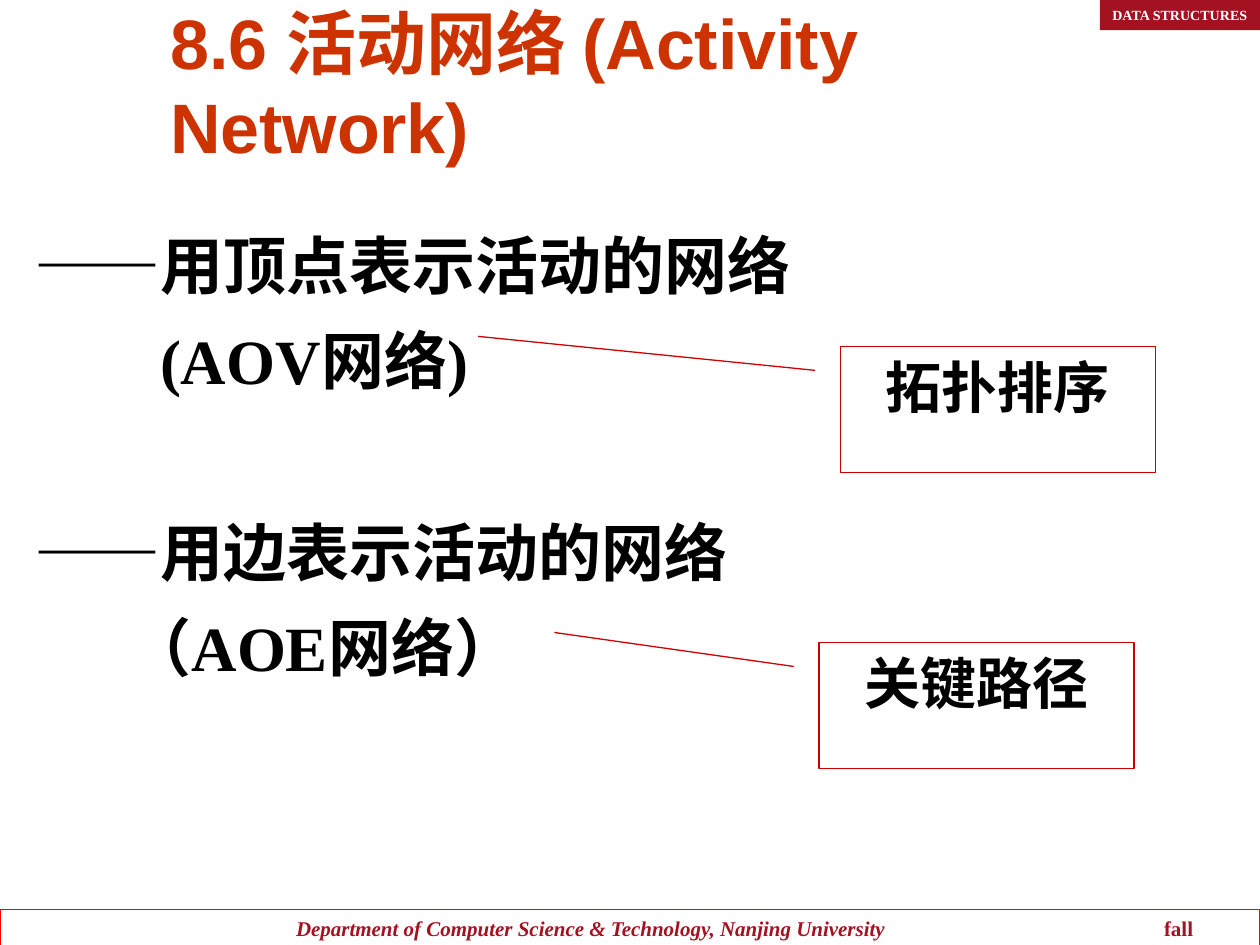
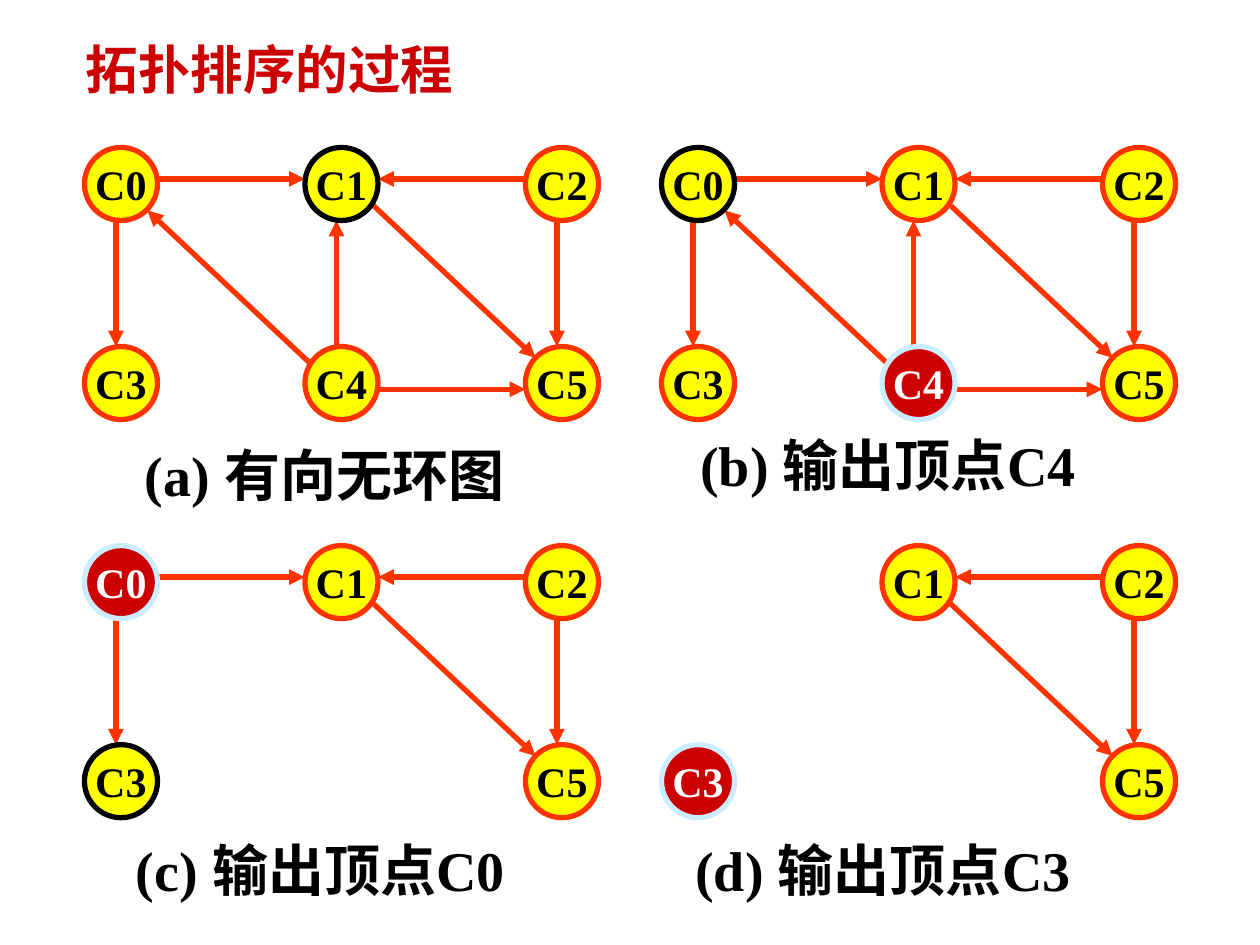
from lxml import etree
from pptx import Presentation
from pptx import util as u
from pptx.dml.color import RGBColor
from pptx.enum import shapes, text
from pptx.oxml.ns import qn

BLACK = RGBColor(0x00, 0x00, 0x00)
WHITE = RGBColor(0xFF, 0xFF, 0xFF)
CRIMSON = RGBColor(0xA3, 0x12, 0x21)
FRAME_RED = RGBColor(0xFF, 0x00, 0x00)
TITLE_ORANGE = RGBColor(0xCC, 0x33, 0x00)
RED = RGBColor(0xCC, 0x00, 0x00)
EDGE_ORANGE = RGBColor(0xFF, 0x33, 0x00)
YELLOW = RGBColor(0xFF, 0xFF, 0x00)
PALE_BLUE = RGBColor(0xCC, 0xEC, 0xFF)

SERIF = "Times New Roman"
LEFT, CENTER = text.PP_ALIGN.LEFT, text.PP_ALIGN.CENTER
TOP, MIDDLE = text.MSO_ANCHOR.TOP, text.MSO_ANCHOR.MIDDLE

NODE_SIZE = 0.58
COLUMN_STEP, ROW_STEP = 1.75, 1.58
# Column and row of every vertex in a graph
VERTICES = {"C0": (0, 0), "C1": (1, 0), "C2": (2, 0),
            "C3": (0, 1), "C4": (1, 1), "C5": (2, 1)}
# Start and end points of each arrow, measured from the graph's top left corner
EDGES = {
    ("C0", "C1"): ((0.58, 0.25), (1.75, 0.25)),
    ("C2", "C1"): ((3.5, 0.25), (2.33, 0.25)),
    ("C0", "C3"): ((0.25, 0.58), (0.25, 1.58)),
    ("C4", "C1"): ((2, 1.58), (2, 0.58)),
    ("C4", "C0"): ((1.83, 1.75), (0.5, 0.5)),
    ("C4", "C5"): ((2.33, 1.92), (3.5, 1.92)),
    ("C2", "C5"): ((3.75, 0.58), (3.75, 1.58)),
    ("C1", "C5"): ((2.25, 0.42), (3.58, 1.67)),
}


def inches(*lengths):
    return [u.Inches(length) for length in lengths]


def style_paragraph(para, size, color, font=SERIF, align=LEFT, italic=False):
    para.alignment = align
    para.font.size = u.Pt(size)
    para.font.name = font
    para.font.bold = True
    para.font.italic = italic
    para.font.color.rgb = color


def write(shape, words, size, color, anchor=TOP, wrap=True, **style):
    frame = shape.text_frame
    frame.text = words
    frame.word_wrap = wrap
    frame.auto_size = text.MSO_AUTO_SIZE.NONE
    frame.vertical_anchor = anchor
    style_paragraph(frame.paragraphs[0], size, color, **style)


def place(shape, at):
    shape.left, shape.top, shape.width, shape.height = inches(*at)


def set_title(slide, words, at, size, color, font):
    place(slide.shapes.title, at)
    write(slide.shapes.title, words, size, color, MIDDLE, font=font)


def add_shape(parent, kind, at, fill=None, line=None, width=0.75):
    shape = parent.add_shape(kind, *inches(*at))
    shape.shadow.inherit = False
    if fill is None:
        shape.fill.background()
    else:
        shape.fill.solid()
        shape.fill.fore_color.rgb = fill
    if line is None:
        shape.line.fill.background()
    else:
        shape.line.color.rgb = line
        shape.line.width = u.Pt(width)
    return shape


def add_text(parent, words, at, size, color):
    write(parent.add_textbox(*inches(*at)), words, size, color)


def add_bands(slide):
    """Add the course tag at the top and the department footer."""
    rectangle = shapes.MSO_SHAPE.RECTANGLE
    footer = add_shape(slide.shapes, rectangle, (0, 7.22, 10, 0.3), line=FRAME_RED)
    write(footer, "Department of Computer Science & Technology, Nanjing University",
          12, CRIMSON, italic=True)
    footer.text_frame.margin_left = u.Inches(2.35)
    add_text(slide.shapes, "fall", (9.14, 7.22, 0.7, 0.28), 12, CRIMSON)
    tag = add_shape(slide.shapes, rectangle, (8.73, 0, 1.33, 0.24), fill=CRIMSON)
    write(tag, "DATA STRUCTURES", 8, WHITE)


def fill_body(slide, at, lines):
    """Write unbulleted lines, each given as words, indent and space before."""
    body = slide.placeholders[1]
    place(body, at)
    frame = body.text_frame
    frame.auto_size = text.MSO_AUTO_SIZE.NONE
    for number, (words, indent, space) in enumerate(lines):
        para = frame.add_paragraph() if number else frame.paragraphs[0]
        para.text = words
        properties = para._p.get_or_add_pPr()
        properties.set("marL", str(u.Inches(indent)))
        properties.set("indent", "0")
        etree.SubElement(properties, qn("a:buNone"))
        para.space_before = u.Pt(space)
        style_paragraph(para, 36, BLACK)


def add_callout(slide, words, left, top, reach):
    """Add a framed label whose leader ends `reach` box widths to the left."""
    callout = add_shape(slide.shapes, shapes.MSO_SHAPE.LINE_CALLOUT_1,
                        (left, top, 2.5, 1), line=RED)
    for index, value in enumerate((0.19, -0.08, -0.08, -reach)):
        callout.adjustments[index] = value
    write(callout, words, 32, BLACK, font="Arial", align=CENTER)


def add_arrow(parent, start, end):
    arrow = parent.add_connector(shapes.MSO_CONNECTOR.STRAIGHT,
                                 *inches(*start, *end))
    arrow.line.color.rgb = EDGE_ORANGE
    arrow.line.width = u.Pt(3)
    etree.SubElement(arrow.line._get_or_add_ln(), qn("a:tailEnd"), type="triangle")
    etree.SubElement(arrow._element.spPr, qn("a:effectLst"))


def add_vertex(parent, name, left, top, fill, line, color):
    vertex = add_shape(parent, shapes.MSO_SHAPE.OVAL,
                       (left, top, NODE_SIZE, NODE_SIZE), fill, line, 3)
    write(vertex, name, 24, color, MIDDLE, wrap=False, align=CENTER)


def add_graph(slide, left, top, names, output, following, caption, caption_at):
    """Draw the remaining vertices, marking the one output and the one to follow."""
    group = slide.shapes.add_group_shape().shapes
    for ends, points in EDGES.items():
        if set(ends) <= set(names):
            add_arrow(group, *((left + x, top + y) for x, y in points))
    for name in names:
        column, row = VERTICES[name]
        if name == output:
            colors = RED, PALE_BLUE, WHITE
        else:
            colors = YELLOW, BLACK if name == following else EDGE_ORANGE, BLACK
        add_vertex(group, name, left + column * COLUMN_STEP,
                   top + row * ROW_STEP, *colors)
    add_text(group, caption, (*caption_at, 3.6, 0.64), 32, BLACK)


def build_network_slide(deck):
    slide = deck.slides.add_slide(deck.slide_layouts[1])
    add_bands(slide)
    set_title(slide, "8.6 活动网络 (Activity Network)", (1.25, 0.25, 8.08, 0.83),
              40, TITLE_ORANGE, "Arial")
    fill_body(slide, (0.17, 1.75, 6.25, 3.73), [
        ("——用顶点表示活动的网络", 0, 0),
        ("(AOV网络)", 1, 11.2),
        ("——用边表示活动的网络", 0, 66),
        ("（AOE网络）", 0.75, 11.2),
    ])
    add_callout(slide, "拓扑排序", 6.67, 2.75, 1.15)
    add_callout(slide, "关键路径", 6.5, 5.1, 0.84)


def build_sorting_slide(deck):
    slide = deck.slides.add_slide(deck.slide_layouts[5])
    set_title(slide, "拓扑排序的过程", (0.58, 0.17, 4.17, 0.75),
              30, RED, "DejaVu Sans")
    left, right, upper, lower = 0.67, 5.25, 1.17, 4.33
    every = list(VERTICES)
    without_c4 = [name for name in every if name != "C4"]
    without_c0 = [name for name in without_c4 if name != "C0"]
    add_graph(slide, left, upper, every, None, "C1", "(a) 有向无环图", (1.05, 3.45))
    add_graph(slide, right, upper, every, "C4", "C0", "(b) 输出顶点C4", (5.46, 3.37))
    add_graph(slide, left, lower, without_c4, "C0", "C3", "(c) 输出顶点C0", (0.98, 6.58))
    add_graph(slide, right, lower, without_c0, "C3", None, "(d) 输出顶点C3", (5.42, 6.58))


def main():
    deck = Presentation()
    deck.slide_width, deck.slide_height = inches(10, 7.5)
    build_network_slide(deck)
    build_sorting_slide(deck)
    deck.save("out.pptx")


if __name__ == "__main__":
    main()
